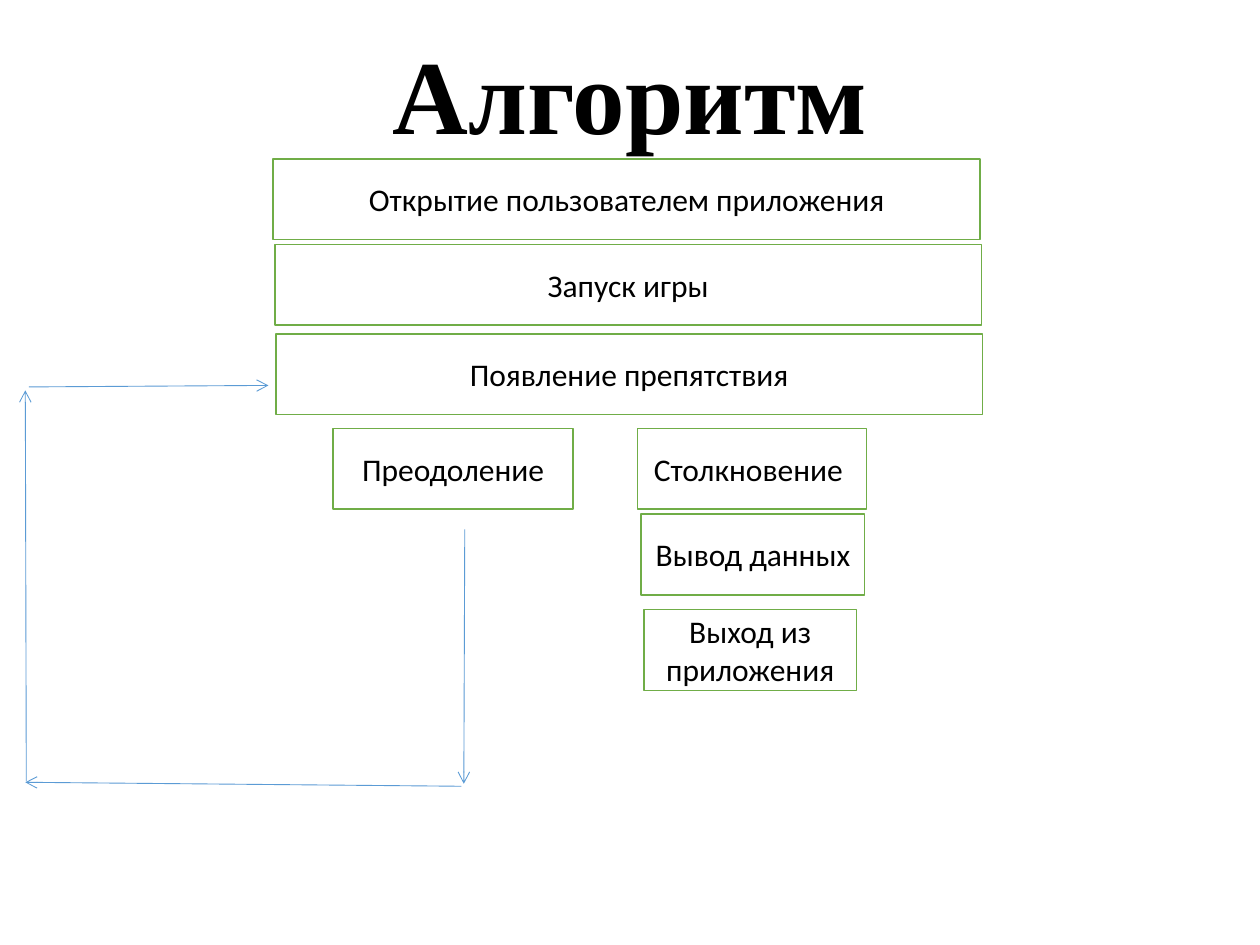
from lxml import etree
from pptx import Presentation
from pptx.dml.color import RGBColor
from pptx.enum import shapes, text
from pptx.oxml import ns
from pptx.util import Cm, Pt

BLACK = RGBColor(0x00, 0x00, 0x00)
WHITE = RGBColor(0xFF, 0xFF, 0xFF)
GREEN = RGBColor(0x70, 0xAD, 0x47)
BLUE = RGBColor(0x5B, 0x9B, 0xD5)

STEP_HEIGHT = 1.63
MAIN_WIDTH = 14.25

# Steps: wording, left, top, width in cm
STEPS = [
    ("Открытие пользователем приложения", 5.51, 3.2, MAIN_WIDTH),
    ("Запуск игры", 5.54, 4.93, MAIN_WIDTH),
    ("Появление препятствия", 5.56, 6.73, MAIN_WIDTH),
    ("Преодоление", 6.71, 8.64, 4.85),
    ("Столкновение ", 12.85, 8.64, 4.62),
    ("Вывод данных", 12.93, 10.36, 4.5),
    ("Выход из приложения", 12.98, 12.29, 4.29),
]

# Loop back to the obstacle: start and end points in cm
LOOP = [
    ((9.37, 10.67), (9.35, 15.8)),
    ((9.3, 15.85), (0.51, 15.77)),
    ((0.53, 15.75), (0.51, 7.87)),
    ((0.58, 7.8), (5.41, 7.77)),
]


def write(holder, wording, *, size=18, font="Calibri", bold=False,
          anchor=text.MSO_ANCHOR.MIDDLE, spacing=1.0):
    frame = holder.text_frame
    frame.word_wrap = True
    frame.vertical_anchor = anchor
    paragraph = frame.paragraphs[0]
    paragraph.alignment = text.PP_ALIGN.CENTER
    paragraph.line_spacing = spacing
    run = paragraph.add_run()
    run.text = wording
    run.font.size = Pt(size)
    run.font.name = font
    run.font.bold = bold
    run.font.color.rgb = BLACK


def add_title(slide, wording):
    title = slide.shapes.add_textbox(0, 0, Cm(25.4), Cm(3.3))
    write(title, wording, size=60, font="Times New Roman", bold=True,
          anchor=text.MSO_ANCHOR.BOTTOM, spacing=0.9)


def add_step(slide, wording, left, top, width):
    step = slide.shapes.add_shape(shapes.MSO_SHAPE.RECTANGLE, Cm(left), Cm(top),
                                  Cm(width), Cm(STEP_HEIGHT))
    step.shadow.inherit = False
    step.fill.solid()
    step.fill.fore_color.rgb = WHITE
    step.line.color.rgb = GREEN
    step.line.width = Pt(1)
    write(step, wording)


def add_arrow(slide, start, end):
    arrow = slide.shapes.add_connector(shapes.MSO_CONNECTOR.STRAIGHT,
                                       *map(Cm, start + end))
    arrow.line.color.rgb = BLUE
    arrow.line.width = Pt(0.5)
    properties = arrow.element.spPr
    outline = properties.find(ns.qn("a:ln"))
    etree.SubElement(outline, ns.qn("a:tailEnd"), type="arrow")
    etree.SubElement(properties, ns.qn("a:effectLst"))


def main():
    deck = Presentation()
    deck.slide_width, deck.slide_height = Cm(25.4), Cm(19.05)
    slide = deck.slides.add_slide(deck.slide_layouts[6])

    # Heading
    add_title(slide, "Алгоритм")

    # Flow of the game
    for step in STEPS:
        add_step(slide, *step)

    # Return to the next obstacle
    for start, end in LOOP:
        add_arrow(slide, start, end)

    deck.save("out.pptx")


if __name__ == "__main__":
    main()
